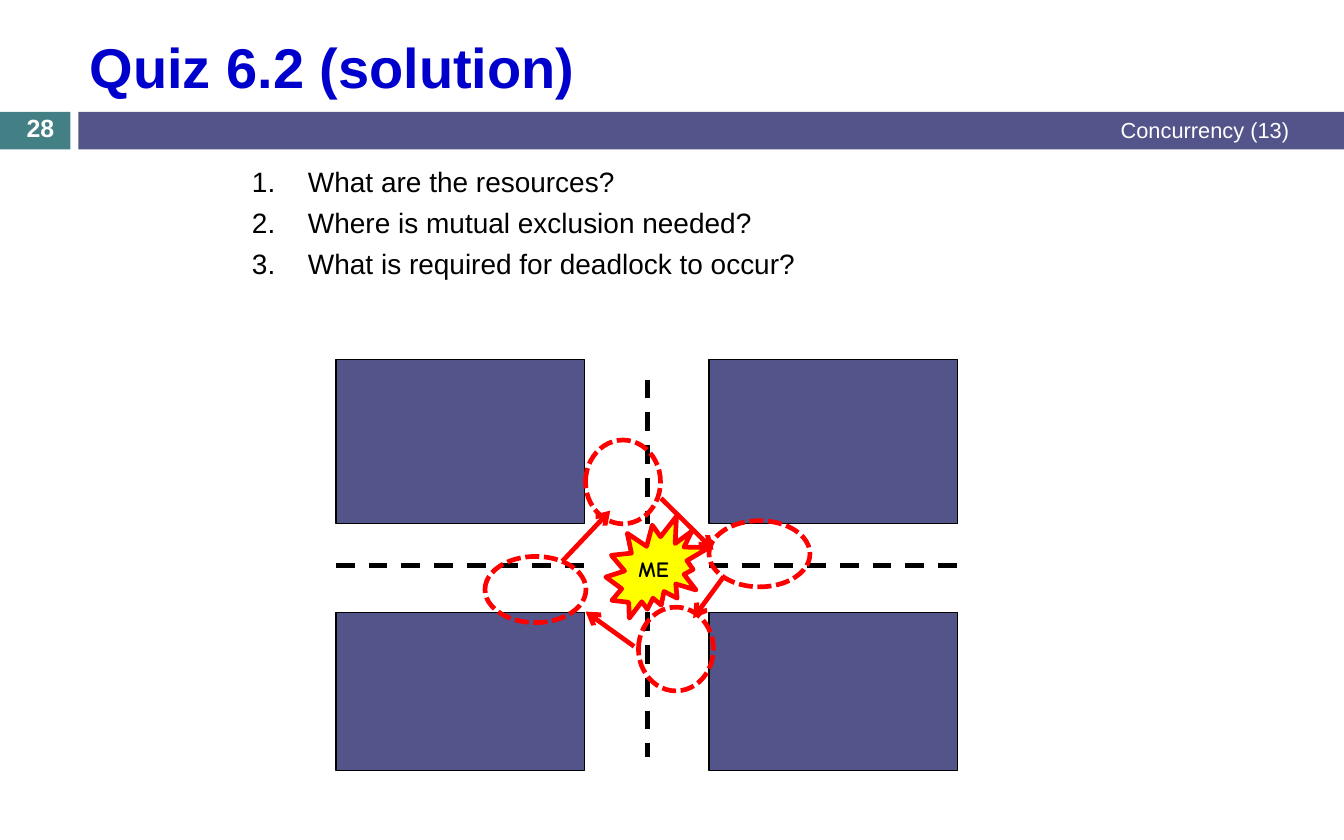
from itertools import product

from lxml.etree import SubElement
from pptx import Presentation
from pptx.dml.color import RGBColor
from pptx.enum.dml import MSO_LINE
from pptx.enum.shapes import MSO_CONNECTOR, MSO_SHAPE
from pptx.enum.text import MSO_ANCHOR, MSO_AUTO_SIZE, PP_ALIGN
from pptx.oxml.ns import qn
from pptx.util import Cm, Pt

COLORS = {
    "teal": "438086", "indigo": "53548A", "title": "0000CC", "black": "000000",
    "white": "FFFFFF", "red": "FF0000", "yellow": "FFFF00",
}


def rgb(name):
    return RGBColor.from_string(COLORS[name])


class SlideBuilder:
    """Holds the slide being filled and its text and line style."""

    font = "Arial"
    stroke = 3

    def __init__(self, slide):
        self.slide = slide

    def run(self, p, text, size, color, bold=False, font=None):
        r = p.add_run()
        r.text = text
        r.font.name = font or self.font
        r.font.size = Pt(size)
        r.font.bold = bold
        r.font.color.rgb = rgb(color)

    def place(self, sp, box):
        sp.left, sp.top, sp.width, sp.height = map(Cm, box)

    def title(self, text, box):
        sp = self.slide.shapes.title
        self.place(sp, box)
        tf = sp.text_frame
        tf.auto_size = MSO_AUTO_SIZE.NONE
        tf.vertical_anchor = MSO_ANCHOR.MIDDLE
        p = tf.paragraphs[0]
        p.alignment = PP_ALIGN.LEFT
        self.run(p, text, 36, "title", bold=True)

    def numbered_list(self, items, box):
        sp = self.slide.placeholders[1]
        self.place(sp, box)
        tf = sp.text_frame
        tf.auto_size = MSO_AUTO_SIZE.NONE
        tf.vertical_anchor = MSO_ANCHOR.TOP
        for i, item in enumerate(items):
            p = tf.add_paragraph() if i else tf.paragraphs[0]
            pPr = p._p.get_or_add_pPr()
            pPr.set("marL", str(Cm(1.27)))
            pPr.set("indent", str(Cm(-1.27)))
            SubElement(pPr, qn("a:buFont"), typeface=self.font)
            SubElement(pPr, qn("a:buAutoNum"), type="arabicPeriod")
            p.space_before = Pt(4.6 if i else 0)
            self.run(p, item, 18, "black")

    def label(self, text, box, size, align, bold=False):
        tf = self.slide.shapes.add_textbox(*map(Cm, box)).text_frame
        tf.word_wrap = True
        tf.vertical_anchor = MSO_ANCHOR.MIDDLE
        p = tf.paragraphs[0]
        p.alignment = align
        self.run(p, text, size, "white", bold)

    def shape(self, kind, box, fill=None, line=None, width=stroke, dash=None):
        sp = self.slide.shapes.add_shape(kind, *map(Cm, box))
        sp.shadow.inherit = False
        if fill:
            sp.fill.solid()
            sp.fill.fore_color.rgb = rgb(fill)
        else:
            sp.fill.background()
        if line:
            sp.line.color.rgb = rgb(line)
            sp.line.width = Pt(width)
            sp.line.dash_style = dash
        else:
            sp.line.fill.background()
        return sp

    def burst(self, text, box):
        sp = self.shape(MSO_SHAPE.EXPLOSION2, box, "yellow", "red")
        tf = sp.text_frame
        tf.word_wrap = False
        tf.vertical_anchor = MSO_ANCHOR.MIDDLE
        p = tf.paragraphs[0]
        p.alignment = PP_ALIGN.CENTER
        self.run(p, text, 14, "black", bold=True, font="Comic Neue")

    def line(self, start, end, color, dash=None, arrow=False):
        c = self.slide.shapes.add_connector(
            MSO_CONNECTOR.STRAIGHT, *map(Cm, start + end))
        c.line.color.rgb = rgb(color)
        c.line.width = Pt(self.stroke)
        c.line.dash_style = dash
        if arrow:
            SubElement(c.line._get_or_add_ln(), qn("a:tailEnd"), type="arrow")
        SubElement(c._element.spPr, qn("a:effectLst"))


def draw_header(s):
    s.shape(MSO_SHAPE.RECTANGLE, (0, 2.54, 1.6, 0.85), "teal")
    s.shape(MSO_SHAPE.RECTANGLE, (1.78, 2.54, 28.7, 0.85), "indigo")
    s.title("Quiz 6.2 (solution)", (1.78, 0.48, 27.71, 2.03))
    s.label("Concurrency (13)", (11.43, 2.51, 18.06, 0.89), 14, PP_ALIGN.RIGHT)
    s.label("28", (0, 2.51, 1.83, 0.76), 16, PP_ALIGN.CENTER, bold=True)


def draw_crossing(s):
    columns = [(7.62, 5.64), (16.08, 5.64)]
    rows = [(8.15, 3.73), (13.89, 3.58)]
    for (y, h), (x, w) in product(rows, columns):
        s.shape(MSO_SHAPE.RECTANGLE, (x, y, w, h), "indigo", "black", 0.75)

    mid_x, mid_y, lane = 14.68, 12.83, 3.28
    for x, w in columns:
        s.line((x, mid_y), (x + w, mid_y), "black", MSO_LINE.DASH)
    for y in (8.61, 13.89):
        s.line((mid_x, y), (mid_x, y + lane), "black", MSO_LINE.DASH)


def draw_deadlock(s):
    s.burst("ME", (13.74, 11.71, 2.34, 2.31))
    wide, tall = (2.29, 1.5), (1.7, 1.9)
    # Each waiting car: position, size, arrow start, arrow end
    cars = [
        ((16.08, 11.81), wide, (16.41, 13.08), (15.72, 14.02)),
        ((11, 12.62), wide, (12.75, 12.73), (13.84, 11.58)),
        ((14.48, 13.77), tall, (14.38, 14.66), (13.28, 13.87)),
        ((13.28, 9.98), tall, (14.99, 11.3), (16.18, 12.47)),
    ]
    for corner, size, start, end in cars:
        s.shape(MSO_SHAPE.OVAL, corner + size, line="red",
                dash=MSO_LINE.SQUARE_DOT)
        s.line(start, end, "red", arrow=True)


def main():
    prs = Presentation()
    prs.slide_width, prs.slide_height = Cm(30.48), Cm(19.05)
    s = SlideBuilder(prs.slides.add_slide(prs.slide_layouts[1]))
    draw_header(s)
    s.numbered_list([
        "What are the resources?",
        "Where is mutual exclusion needed?",
        "What is required for deadlock to occur?",
    ], (5.46, 3.61, 18.44, 3.43))
    draw_crossing(s)
    draw_deadlock(s)
    prs.save("out.pptx")


if __name__ == "__main__":
    main()
